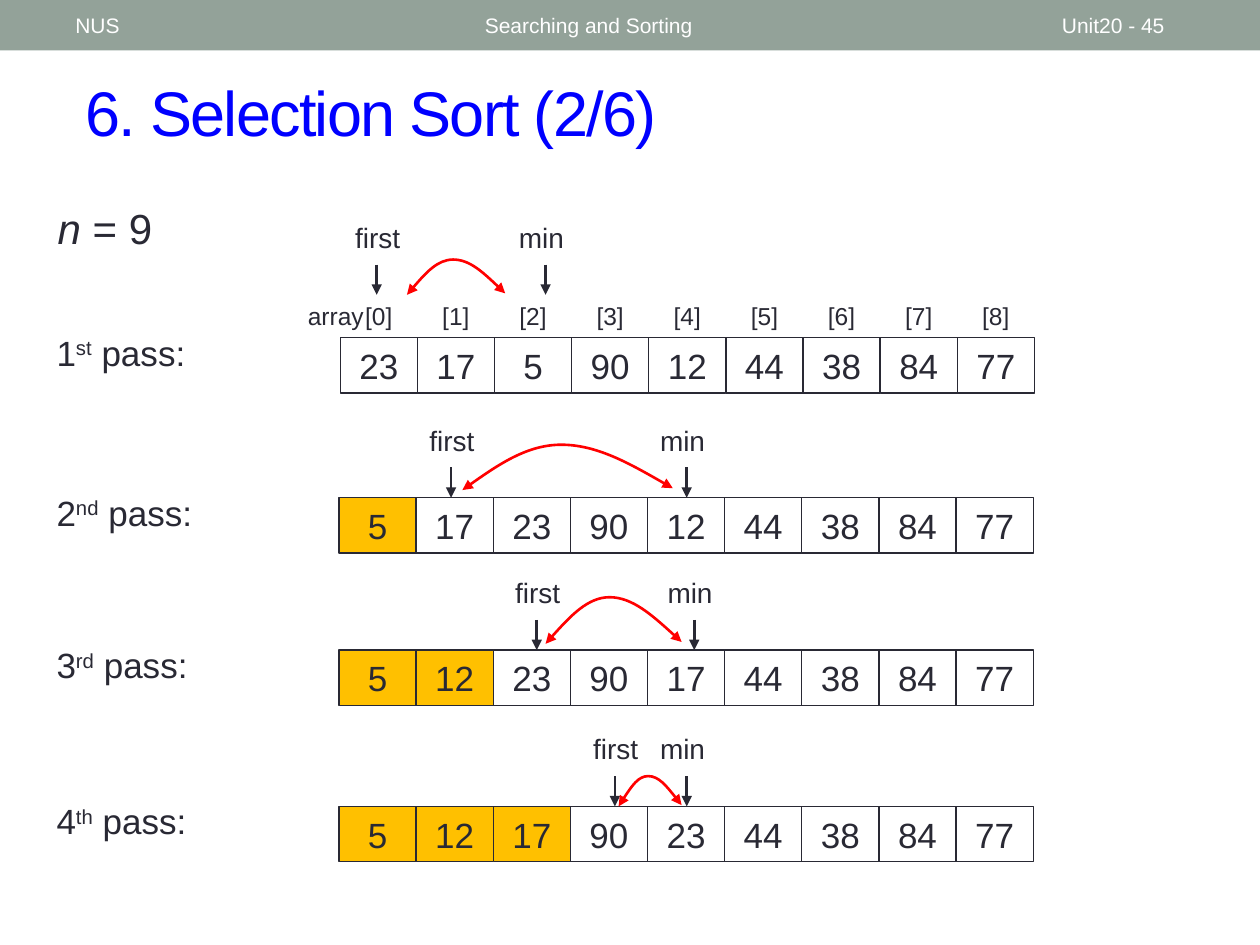
from lxml import etree
from pptx import Presentation, util as u
from pptx.dml.color import RGBColor
from pptx.enum import shapes, text
from pptx.oxml.ns import qn

INK, RED, BLUE, GOLD, SAGE, WHITE = "292934", "FF0000", "0000FF", "FFC000", "93A299", "FFFFFF"
TITLE = "6. Selection Sort (2/6)"
HEADER = [("NUS", 0.5, 3.17), ("Searching and Sorting", 3.75, 4.5), ("Unit20 - 45", 8.33, 1.17)]
PASSES = [
    {"nth": ("1", "st"), "left": 2.7, "top": 2.68, "sorted": 0, "tip": 2.34,
     "first": 2.99, "min": 4.33, "swap": (3.23, 4.01, 2.06, 2.34),
     "values": [23, 17, 5, 90, 12, 44, 38, 84, 77]},
    {"nth": ("2", "nd"), "left": 2.69, "top": 3.95, "sorted": 1, "tip": 3.95,
     "first": 3.58, "min": 5.45, "swap": (3.67, 5.34, 3.53, 3.89),
     "values": [5, 17, 23, 90, 12, 44, 38, 84, 77]},
    {"nth": ("3", "rd"), "left": 2.69, "top": 5.16, "sorted": 2, "tip": 5.16,
     "first": 4.26, "min": 5.51, "swap": (4.33, 5.41, 4.74, 5.11),
     "values": [5, 12, 23, 90, 17, 44, 38, 84, 77]},
    {"nth": ("4", "th"), "left": 2.69, "top": 6.4, "sorted": 3, "tip": 6.4,
     "first": 4.88, "min": 5.45, "swap": (4.91, 5.41, 6.16, 6.4),
     "values": [5, 12, 17, 90, 23, 44, 38, 84, 77]},
]
ROW_W, CELL_H = 5.51, 0.44
CELL_W = ROW_W / 9
ARC = [(0, 1), (0.15, 0.5), (0.31, 0), (0.47, 0), (0.64, 0), (0.82, 0.48), (1, 0.96)]
POINTERS = {"first": (0.27, 0.62, True), "min": (0.31, 0.56, False)}


def color(value):
    return RGBColor.from_string(value)


def box(*lengths):
    return [u.Inches(n) for n in lengths]


def write(sp, runs, size, ink=INK, align=text.PP_ALIGN.LEFT, anchor=text.MSO_ANCHOR.TOP, wrap=True):
    tf = sp.text_frame
    for key, value in {"word_wrap": wrap, "vertical_anchor": anchor}.items():
        setattr(tf, key, value)
    p = tf.paragraphs[0]
    p.alignment = align
    for words, style in runs:
        r = p.add_run()
        r.text = words
        for key, value in {"name": "Arial", "size": u.Pt(size), "italic": style == "italic"}.items():
            setattr(r.font, key, value)
        r.font.color.rgb = color(ink)
        if style == "super":
            r.font._element.set("baseline", "30000")
    return p


def add_text(at, runs, size, **formats):
    return write(slide.shapes.add_textbox(*box(*at)), runs, size, **formats)


def add_rect(at, fill, line=None):
    sp = slide.shapes.add_shape(shapes.MSO_SHAPE.RECTANGLE, *box(*at))
    sp.shadow.inherit = False
    if fill:
        sp.fill.solid()
        sp.fill.fore_color.rgb = color(fill)
    else:
        sp.fill.background()
    if line:
        set_line(sp, line, 0.75)
    else:
        sp.line.fill.background()
    return sp


def set_line(sp, ink, width, heads=()):
    sp.line.color.rgb = color(ink)
    sp.line.width = u.Pt(width)
    for end in heads:
        etree.SubElement(sp.line._get_or_add_ln(), qn("a:" + end), type="triangle")


def add_pointer(name, x, tip):
    shift, width, wrap = POINTERS[name]
    line = slide.shapes.add_connector(shapes.MSO_CONNECTOR.STRAIGHT, *box(x, tip - 0.24, x, tip))
    set_line(line, INK, 1.5, ["tailEnd"])
    etree.SubElement(line._element.spPr, qn("a:effectLst"))
    add_text((x - shift, tip - 0.64, width, 0.37), [(name, "")], 16, wrap=wrap)


def add_swap(left, right, top, bottom):
    points = [(u.Inches(left + sx * (right - left)), u.Inches(top + sy * (bottom - top)))
              for sx, sy in ARC]
    builder = slide.shapes.build_freeform(*points[0])
    builder.add_line_segments(points[1:], close=False)
    sp = builder.convert_to_shape()
    sp.shadow.inherit = False
    sp.fill.background()
    set_line(sp, RED, 1.5, ["headEnd", "tailEnd"])
    segments = list(sp._element.iter(qn("a:lnTo")))
    outline = segments[0].getparent()
    for i in range(0, len(segments), 3):
        curve = etree.SubElement(outline, qn("a:cubicBezTo"))
        for segment in segments[i:i + 3]:
            curve.append(segment[0])
            outline.remove(segment)


prs = Presentation()
prs.slide_width, prs.slide_height = box(10, 7.5)
slide = prs.slides.add_slide(prs.slide_layouts[5])
MIDDLE, CENTER = text.MSO_ANCHOR.MIDDLE, text.PP_ALIGN.CENTER

add_rect((0, 0, 10, 0.4), SAGE)
title = slide.shapes.title
for key, value in zip(("left", "top", "width", "height"), box(0.58, 0.42, 9.17, 0.92)):
    setattr(title, key, value)
heading = write(title, [(TITLE, "")], 36, ink=BLUE, anchor=MIDDLE)
heading.runs[0].font._element.set("spc", "-100")
for words, left, width in HEADER:
    add_text((left, 0.02, width, 0.36), [(words, "")], 12, ink=WHITE, anchor=MIDDLE)
add_text((0.36, 1.56, 1.39, 0.5), [("n", "italic"), (" = 9", "")], 24)

add_text((2.29, 2.34, 0.75, 0.34), [("array", "")], 14, align=CENTER)
for i in range(9):
    add_text((2.7 + i * CELL_W, 2.34, CELL_W, 0.34), [(f"[{i}]", "")], 14, align=CENTER)

for row in PASSES:
    for i, value in enumerate(row["values"]):
        cell = add_rect((row["left"] + i * CELL_W, row["top"], CELL_W, CELL_H),
                        GOLD if i < row["sorted"] else None, INK)
        write(cell, [(str(value), "")], 20, align=CENTER, anchor=MIDDLE)
    number, suffix = row["nth"]
    add_text((0.35, row["top"] - 0.1, 1.39, 0.44),
             [(number, ""), (suffix, "super"), (" pass:", "")], 20)
    for name in POINTERS:
        add_pointer(name, row[name], row["tip"])
    add_swap(*row["swap"])

prs.save("out.pptx")
